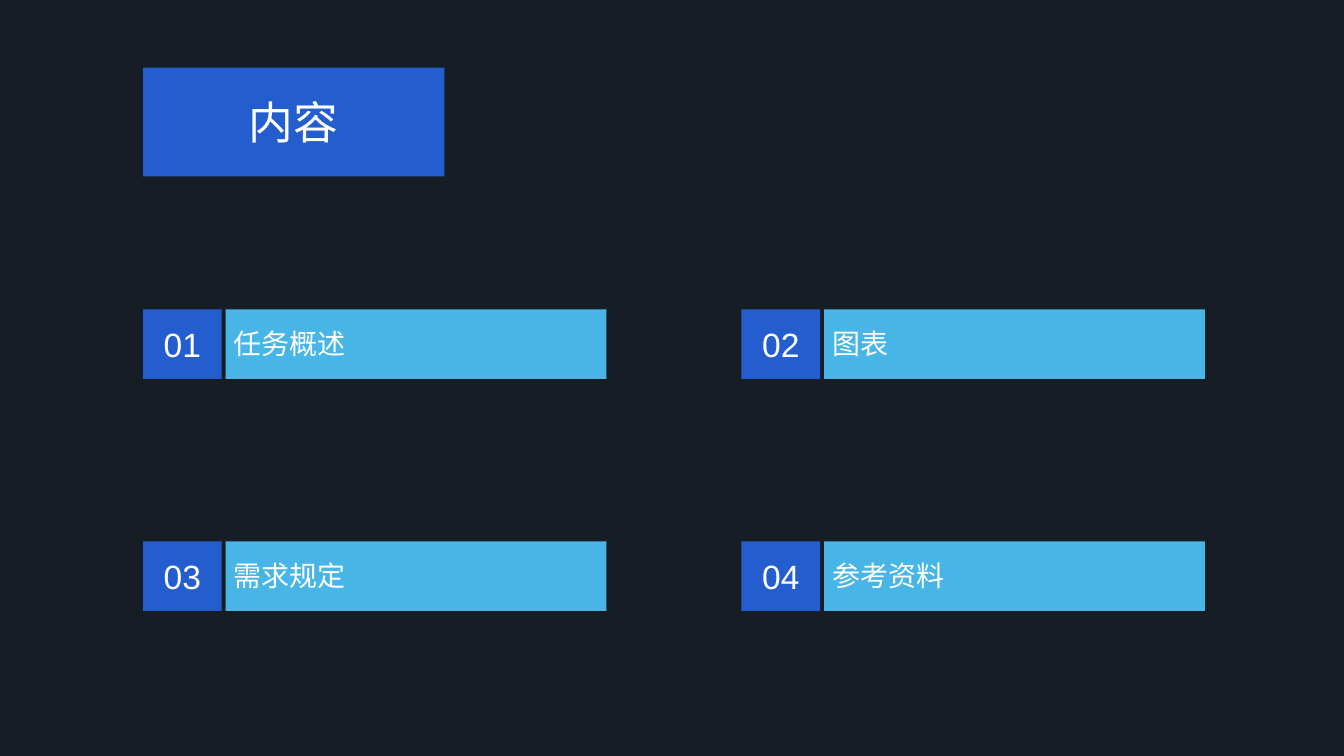
from pptx import Presentation
from pptx.dml.color import RGBColor
from pptx.enum.shapes import MSO_SHAPE
from pptx.enum.text import MSO_ANCHOR, MSO_AUTO_SIZE, PP_ALIGN
from pptx.util import Inches, Pt

DARK, BLUE, SKY, WHITE = "171D25", "245ECE", "47B6E7", "FFFFFF"
TOPICS = ["任务概述", "图表", "需求规定", "参考资料"]


def paint(fill, color):
    fill.solid()
    fill.fore_color.rgb = RGBColor.from_string(color)


def label(shape, text, size, color, align, pads):
    paint(shape.fill, color)
    shape.line.fill.background()
    frame = shape.text_frame
    frame.auto_size = MSO_AUTO_SIZE.NONE
    frame.word_wrap = True
    frame.vertical_anchor = MSO_ANCHOR.MIDDLE
    left, top, right, bottom = map(Inches, pads)
    frame.margin_left, frame.margin_top = left, top
    frame.margin_right, frame.margin_bottom = right, bottom
    frame.text = text
    para = frame.paragraphs[0]
    para.alignment = align
    font = para.runs[0].font
    font.name, font.size = "Arial", Pt(size)
    font.color.rgb = RGBColor.from_string(WHITE)


def head(slide, left, top, width, height):
    title = slide.shapes.title
    title.left, title.top = Inches(left), Inches(top)
    title.width, title.height = Inches(width), Inches(height)
    label(title, "内容", 32, BLUE, PP_ALIGN.CENTER, (0.1, 0.05, 0.1, 0.05))


def entry(slide, num, topic, left, top, width, height):
    group = slide.shapes.add_group_shape()
    side, gap = 0.78, 0.04
    start = side + gap
    parts = [
        (0, side, f"{num:02}", 24, BLUE, PP_ALIGN.CENTER, (0, 0, 0, 0)),
        (start, width - start, topic, 20, SKY, PP_ALIGN.LEFT, (0.08, 0, 0, 0.01)),
    ]
    for shift, wide, *style in parts:
        box = group.shapes.add_shape(
            MSO_SHAPE.RECTANGLE, Inches(left + shift), Inches(top),
            Inches(wide), Inches(height))
        box.shadow.inherit = False
        label(box, *style)


def agenda(slide, left, top, width, height):
    wide, high = 4.6, 0.69
    for i, topic in enumerate(TOPICS):
        row, col = divmod(i, 2)
        entry(slide, i + 1, topic, left + col * (width - wide),
              top + row * (height - high), wide, high)


def main():
    deck = Presentation()
    deck.slide_width, deck.slide_height = Inches(13.34), Inches(7.5)
    slide = deck.slides.add_slide(deck.slide_layouts[5])
    paint(slide.background.fill, DARK)
    head(slide, 1.42, 0.67, 2.99, 1.08)
    agenda(slide, 1.42, 3.07, 10.54, 2.99)
    deck.save("out.pptx")


if __name__ == "__main__":
    main()
